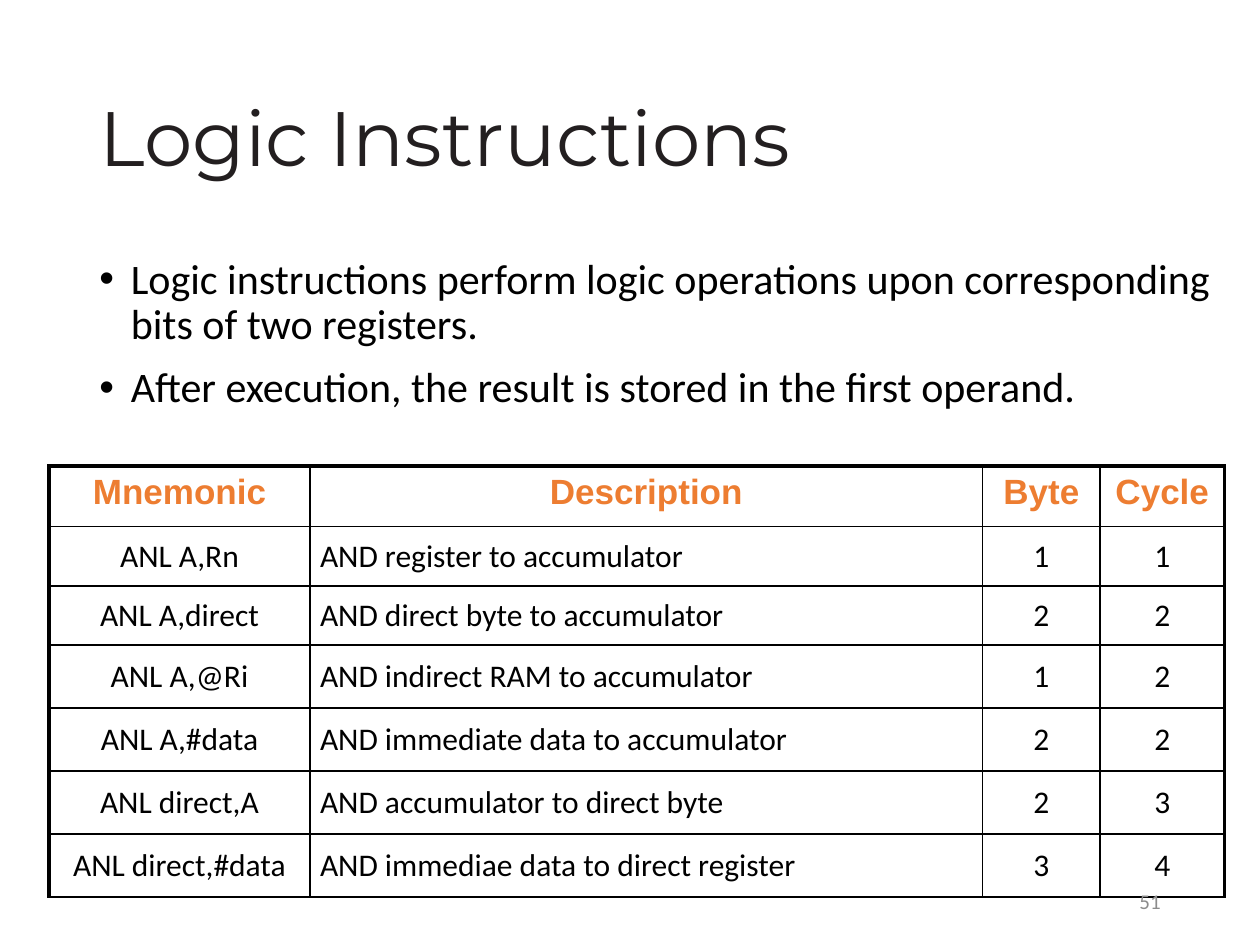
from pptx import Presentation
from pptx.dml.color import RGBColor
from pptx.enum.text import MSO_ANCHOR, PP_ALIGN
from pptx.oxml.xmlchemy import OxmlElement
from pptx.util import Inches, Pt

COLORS = {"title": "231F20", "text": "000000", "header": "ED7D31",
          "border": "000000", "number": "8C8C8C"}

# Slide and its grid of 1000 columns by 750 rows
deck = Presentation()
deck.slide_width, deck.slide_height = Inches(10), Inches(7.5)
slide = deck.slides.add_slide(deck.slide_layouts[6])
UNIT = deck.slide_width // 1000


def add_text(left, top, width, height, anchor=MSO_ANCHOR.MIDDLE):
    frame = slide.shapes.add_textbox(*(n * UNIT for n in (left, top, width, height))).text_frame
    frame.word_wrap = True
    frame.vertical_anchor = anchor
    return frame


def style(paragraph, size, color, font="Calibri", bold=False):
    for run in paragraph.runs:
        run.font.size, run.font.name, run.font.bold = Pt(size), font, bold
        run.font.color.rgb = RGBColor.from_string(COLORS[color])


# Title
title = add_text(69, 40, 862, 145).paragraphs[0]
title.text = "Logic Instructions"
title.line_spacing = 0.9
style(title, 44, "title", "Montserrat")

# Bulleted points
points = add_text(69, 200, 921, 135, MSO_ANCHOR.TOP)
points.text = ("Logic instructions perform logic operations upon corresponding bits of two registers.\n"
               "After execution, the result is stored in the first operand.")
for index, point in enumerate(points.paragraphs):
    properties = point._p.get_or_add_pPr()
    properties.set("marL", str(25 * UNIT))
    properties.set("indent", str(-25 * UNIT))
    bullet_font = OxmlElement("a:buFont")
    bullet_font.set("typeface", "Arial")
    bullet = OxmlElement("a:buChar")
    bullet.set("char", "•")
    properties.extend([bullet_font, bullet])
    point.line_spacing = 0.9
    point.space_before = Pt(10 if index else 0)
    style(point, 24, "text")

# Instruction table
instructions = [
    ("Mnemonic", "Description", "Byte", "Cycle"),
    ("ANL A,Rn", "AND register to accumulator", "1", "1"),
    ("ANL A,direct", "AND direct byte to accumulator", "2", "2"),
    ("ANL A,@Ri", "AND indirect RAM to accumulator", "1", "2"),
    ("ANL A,#data", "AND immediate data to accumulator", "2", "2"),
    ("ANL direct,A", "AND accumulator to direct byte", "2", "3"),
    ("ANL direct,#data", "AND immediae data to direct register", "3", "4"),
]
column_widths = [207, 534, 93, 99]
row_heights = [48] + [47] * 2 + [50] * 4
table = slide.shapes.add_table(
    len(row_heights), len(column_widths), 39 * UNIT, 370 * UNIT,
    sum(column_widths) * UNIT, sum(row_heights) * UNIT).table
table.first_row = table.horz_banding = False
for column, width in zip(table.columns, column_widths):
    column.width = width * UNIT
for row, height in zip(table.rows, row_heights):
    row.height = height * UNIT

last_column = len(column_widths) - 1
for r, instruction in enumerate(instructions):
    for c, label in enumerate(instruction):
        cell = table.cell(r, c)
        cell.text = label
        entry = cell.text_frame.paragraphs[0]
        if r == 0:
            cell.margin_left = cell.margin_right = 10 * UNIT
            cell.margin_top = cell.margin_bottom = 5 * UNIT
            entry.alignment = PP_ALIGN.CENTER
            style(entry, 20, "header", "Arial", True)
        else:
            cell.margin_left = cell.margin_right = 8 * UNIT
            cell.margin_top = cell.margin_bottom = 8 * UNIT
            cell.vertical_anchor = MSO_ANCHOR.MIDDLE
            entry.alignment = PP_ALIGN.JUSTIFY if c == 1 else PP_ALIGN.CENTER
            style(entry, 18, "text")

        # Thick outline on the left, right and top; thin lines elsewhere
        thick_sides = {"a:lnL": c == 0, "a:lnR": c == last_column,
                       "a:lnT": r == 0, "a:lnB": False}
        for side, thick in thick_sides.items():
            border = OxmlElement(side)
            border.set("w", str(Pt(2.25 if thick else 1)))
            paint = OxmlElement("a:solidFill")
            color = OxmlElement("a:srgbClr")
            color.set("val", COLORS["border"])
            paint.append(color)
            border.append(paint)
            cell._tc.get_or_add_tcPr().append(border)
        cell.fill.background()

# Slide number
number = add_text(706, 695, 225, 40).paragraphs[0]
number.text = "51"
number.alignment = PP_ALIGN.RIGHT
style(number, 12, "number")

deck.save("out.pptx")
